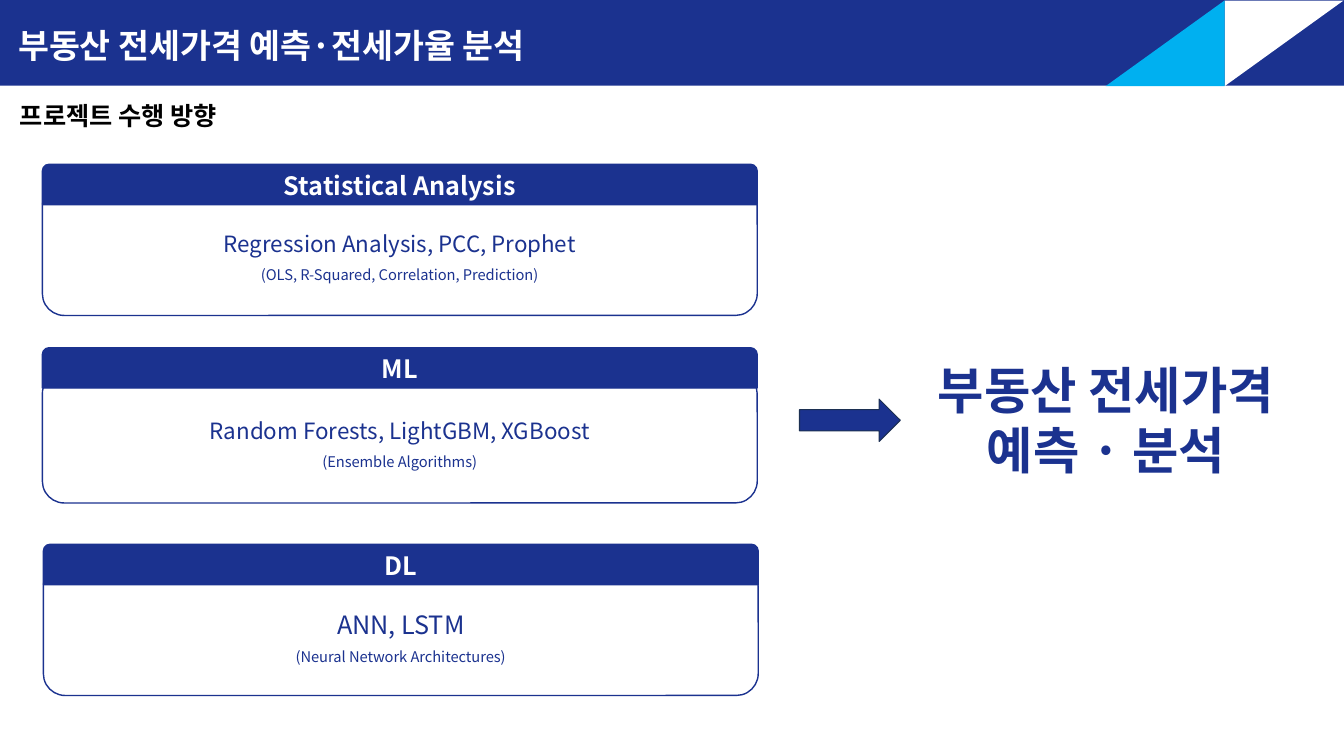
from dataclasses import dataclass

from lxml import etree
from pptx import Presentation
from pptx.dml.color import RGBColor
from pptx.enum.shapes import MSO_SHAPE
from pptx.enum.text import MSO_ANCHOR, MSO_AUTO_SIZE, PP_ALIGN
from pptx.oxml.ns import qn
from pptx.shapes.autoshape import Shape
from pptx.slide import Slide
from pptx.text.text import TextFrame
from pptx.util import Inches, Pt

RECTANGLE_ROUNDED = MSO_SHAPE.ROUNDED_RECTANGLE
RECTANGLE_TOP_ROUNDED = MSO_SHAPE.ROUND_2_SAME_RECTANGLE
TRIANGLE = MSO_SHAPE.RIGHT_TRIANGLE
ARROW = MSO_SHAPE.RIGHT_ARROW
LEFT, CENTER = PP_ALIGN.LEFT, PP_ALIGN.CENTER
TOP, MIDDLE = MSO_ANCHOR.TOP, MSO_ANCHOR.MIDDLE
NO_AUTOFIT = MSO_AUTO_SIZE.NONE

FONT = "Noto Sans CJK KR"
COLORS = {
    "navy": "1B328F",
    "sky": "00B0F0",
    "white": "FFFFFF",
    "black": "000000",
    "arrow_edge": "1C3052",
}
CARD_WIDTH = 7.09
HEADER_HEIGHT = 0.4
BODY_HEIGHT = 1.3


@dataclass(frozen=True)
class Area:
    left: float
    top: float
    width: float
    height: float


@dataclass(frozen=True)
class Line:
    text: str
    size: float
    color: str
    bold: bool = False


@dataclass(frozen=True)
class Card:
    left: float
    top: float
    body_offset: float
    heading: str
    methods: str
    methods_size: float
    detail: str


@dataclass(frozen=True)
class Corner:
    left: float
    rotation: float
    color: str


CARDS = [
    Card(0.42, 1.63, 0.2, "Statistical Analysis", "Regression Analysis, PCC, Prophet", 16,
         "(OLS, R-Squared, Correlation, Prediction)"),
    Card(0.42, 3.45, 0.24, "ML", "Random Forests, LightGBM, XGBoost", 16,
         "(Ensemble Algorithms)"),
    Card(0.43, 5.4, 0.2, "DL", "ANN, LSTM", 18, "(Neural Network Architectures)"),
]
CORNERS = [Corner(12.31, 90, "white"), Corner(11.13, 270, "sky")]


def rgb(color: str) -> RGBColor:
    return RGBColor.from_string(COLORS[color])


def place(area: Area) -> tuple[int, int, int, int]:
    return Inches(area.left), Inches(area.top), Inches(area.width), Inches(area.height)


def write(frame: TextFrame, lines: list[Line], align: PP_ALIGN = CENTER,
          anchor: MSO_ANCHOR = MIDDLE, spacing: float = 1.0) -> None:
    frame.word_wrap = True
    frame.auto_size = NO_AUTOFIT
    frame.vertical_anchor = anchor
    frame.text = "\n".join(line.text for line in lines)
    for para, line in zip(frame.paragraphs, lines):
        para.alignment = align
        para.line_spacing = spacing
        for span in para.runs:
            span.font.size = Pt(line.size)
            span.font.bold = line.bold
            span.font.color.rgb = rgb(line.color)
            span.font.name = FONT
            properties = span.font._element
            etree.SubElement(properties, qn("a:ea")).set("typeface", FONT)


def add_box(page: Slide, kind: MSO_SHAPE, area: Area, fill: str,
            edge: str | None = None, edge_width: float = 1) -> Shape:
    box = page.shapes.add_shape(kind, *place(area))
    box.shadow.inherit = False
    box.fill.solid()
    box.fill.fore_color.rgb = rgb(fill)
    if edge:
        box.line.color.rgb = rgb(edge)
        box.line.width = Pt(edge_width)
    else:
        box.line.fill.background()
    return box


def add_label(page: Slide, area: Area, lines: list[Line], align: PP_ALIGN) -> None:
    label = page.shapes.add_textbox(*place(area))
    write(label.text_frame, lines, align, TOP)


def add_title(page: Slide) -> None:
    title = page.shapes.title
    title.left, title.top, title.width, title.height = place(Area(0, 0, 13.33, 0.85))
    title.fill.solid()
    title.fill.fore_color.rgb = rgb("navy")
    write(title.text_frame, [Line("부동산 전세가격 예측·전세가율 분석", 24, "white", True)],
          LEFT, TOP, 1.5)
    title.text_frame.margin_left = Inches(0.18)


def add_corner(page: Slide, corner: Corner) -> None:
    triangle = add_box(page, TRIANGLE, Area(corner.left, -0.16, 0.85, 1.18), corner.color)
    triangle.rotation = corner.rotation


def add_card(page: Slide, card: Card) -> None:
    body_area = Area(card.left, card.top + card.body_offset, CARD_WIDTH, BODY_HEIGHT)
    body = add_box(page, RECTANGLE_ROUNDED, body_area, "white", "navy")
    write(body.text_frame, [Line(card.methods, card.methods_size, "navy"),
                            Line(card.detail, 10.5, "navy")], spacing=1.5)
    header_area = Area(card.left, card.top, CARD_WIDTH, HEADER_HEIGHT)
    header = add_box(page, RECTANGLE_TOP_ROUNDED, header_area, "navy", "navy")
    write(header.text_frame, [Line(card.heading, 18, "white", True)])


def main() -> None:
    deck = Presentation()
    deck.slide_width = Inches(13.33)
    deck.slide_height = Inches(7.5)
    page = deck.slides.add_slide(deck.slide_layouts.get_by_name("Title Only"))

    add_title(page)
    for corner in CORNERS:
        add_corner(page, corner)
    add_label(page, Area(0.1, 0.95, 4.04, 0.4),
              [Line("프로젝트 수행 방향", 18, "black", True)], LEFT)
    for card in CARDS:
        add_card(page, card)
    add_label(page, Area(8.93, 3.51, 4.08, 1.31),
              [Line("부동산 전세가격", 36, "navy", True),
               Line("예측 · 분석", 36, "navy", True)], CENTER)
    add_box(page, ARROW, Area(7.93, 3.96, 1, 0.42), "navy", "arrow_edge", 0.75)

    deck.save("out.pptx")


if __name__ == "__main__":
    main()
